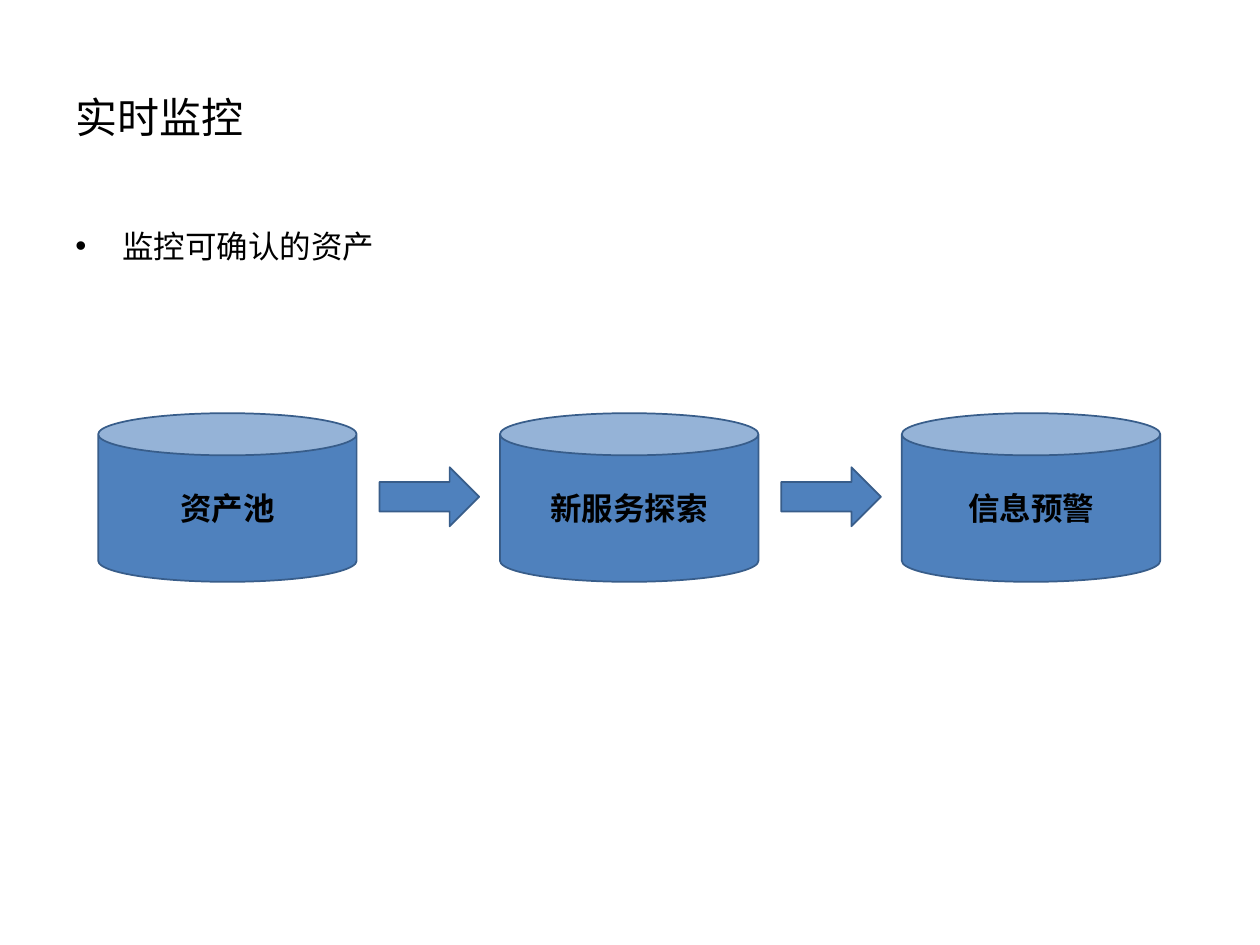
from lxml.etree import SubElement
from pptx import Presentation
from pptx.dml.color import RGBColor
from pptx.enum.shapes import MSO_SHAPE as Shape
from pptx.enum.text import MSO_ANCHOR as Anchor, PP_ALIGN as Align
from pptx.oxml.ns import qn
from pptx.util import Cm, Pt

# Content
TITLE = "实时监控"
POINT = "监控可确认的资产"
STAGES = ["资产池", "新服务探索", "信息预警"]

# Layout in cm
LEFT, STEP = 1.98, 8.1
CAN_TOP, CAN_W, CAN_H = 8.33, 5.21, 3.4
ARROW_TOP, ARROW_W, ARROW_H = 9.42, 2.01, 1.19
ARROW_GAP = 0.46
INDENT = Cm(0.95)

BLACK, FILL, EDGE = "000000", "4F81BD", "385D8A"


def color(code):
    return RGBColor.from_string(code)


def write(frame, text, size, font, bold=False):
    frame.word_wrap = True
    para = frame.paragraphs[0]
    para.text = text
    for run in para.runs:
        run.font.size = Pt(size)
        run.font.name = font
        run.font.bold = bold
        run.font.color.rgb = color(BLACK)
    return para


def add_text(slide, box, text, size):
    frame = slide.shapes.add_textbox(*map(Cm, box)).text_frame
    return frame, write(frame, text, size, "Calibri")


def add_bullet(para):
    props = para._p.get_or_add_pPr()
    props.set("marL", str(INDENT))
    props.set("indent", str(-INDENT))
    tint = SubElement(props, qn("a:buClr"))
    SubElement(tint, qn("a:srgbClr"), val=BLACK)
    SubElement(props, qn("a:buFont"), typeface="Arial")
    SubElement(props, qn("a:buChar"), char="•")


def add_part(slide, kind, *box):
    part = slide.shapes.add_shape(kind, *map(Cm, box))
    part.shadow.inherit = False
    part.fill.solid()
    part.fill.fore_color.rgb = color(FILL)
    part.line.color.rgb = color(EDGE)
    part.line.width = Pt(1)
    return part


def main():
    deck = Presentation()
    deck.slide_width, deck.slide_height = Cm(25.4), Cm(19.05)
    slide = deck.slides.add_slide(deck.slide_layouts[6])

    # Title and bullet point
    frame, _ = add_text(slide, (1.27, 0.76, 22.86, 3.18), TITLE, 24)
    frame.vertical_anchor = Anchor.MIDDLE
    _, para = add_text(slide, (1.27, 4.45, 22.86, 12.57), POINT, 18)
    para.space_before = Pt(4.5)
    add_bullet(para)

    # Row of stages
    for i, name in enumerate(STAGES):
        can = add_part(slide, Shape.CAN, LEFT + i * STEP, CAN_TOP, CAN_W, CAN_H)
        can.text_frame.vertical_anchor = Anchor.MIDDLE
        write(can.text_frame, name, 18, "Arial", True).alignment = Align.CENTER

    # Arrows between the stages
    for i in range(len(STAGES) - 1):
        left = LEFT + i * STEP + CAN_W + ARROW_GAP
        add_part(slide, Shape.RIGHT_ARROW, left, ARROW_TOP, ARROW_W, ARROW_H)

    deck.save("out.pptx")


if __name__ == "__main__":
    main()
